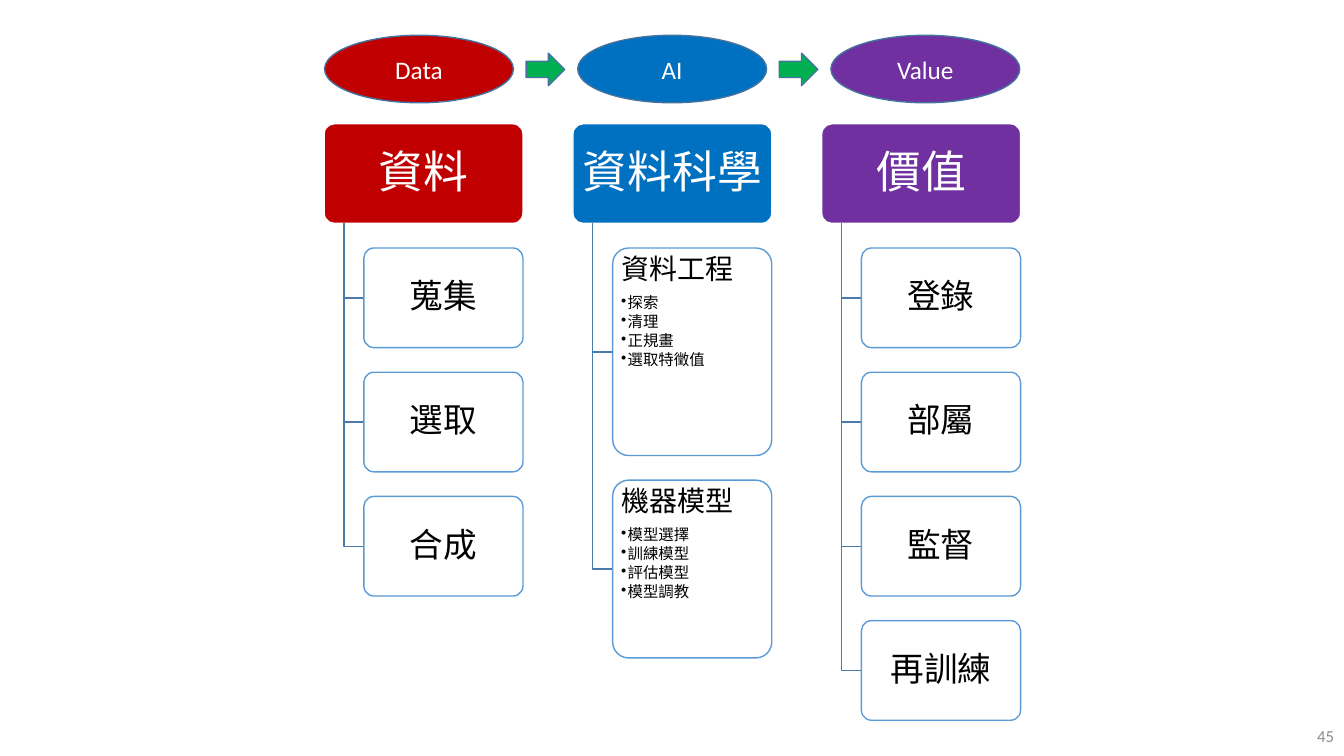
"""Build the slide that links data, data science and value."""
from lxml import etree
from pptx import Presentation
from pptx import util as u
from pptx.dml.color import RGBColor
from pptx.enum import shapes, text
from pptx.oxml import ns

LATIN, CJK = "Calibri", "Noto Sans CJK SC"
COLUMN_LEFT, COLUMN_PITCH = 8.17, 6.27
HEADER_TOP, HEADER_WIDTH, BOX_HEIGHT = 3.12, 5.01, 2.51
GAP, TRUNK_INDENT, BOX_INDENT, BOX_WIDTH = 0.62, 0.5, 1, 4.01
STAGE_LEFT, STAGE_PITCH = 8.18, 6.38


def rgb(value):
    return RGBColor.from_string(value)


class Board:
    """Style and current slide, with a method for each kind of element."""

    ink, grey, paper, green = "000000", "8C8C8C", "FFFFFF", "00B050"
    trunk, box_edge, stage_edge = "497CAB", "5B9BD5", "43739E"
    line_spacing = 0.9

    def __init__(self, slide):
        self.slide = slide

    def shape(self, kind, left, top, width, height, fill, edge):
        shape = self.slide.shapes.add_shape(
            kind, u.Cm(left), u.Cm(top), u.Cm(width), u.Cm(height))
        shape.shadow.inherit = False
        shape.fill.solid()
        shape.fill.fore_color.rgb = rgb(fill)
        shape.line.color.rgb = rgb(edge)
        shape.line.width = u.Pt(1)
        return shape

    def format_runs(self, paragraph, size, color, font):
        for run in paragraph.runs:
            run.font.size = u.Pt(size)
            run.font.color.rgb = rgb(color)
            run.font.name = font
            east_asian = etree.SubElement(run.font._element, ns.qn("a:ea"))
            east_asian.set("typeface", font)

    def label(self, shape, words, size, color, font, align=text.PP_ALIGN.CENTER):
        frame = shape.text_frame
        frame.word_wrap = True
        frame.vertical_anchor = text.MSO_ANCHOR.MIDDLE
        frame.text = words
        for paragraph in frame.paragraphs:
            paragraph.alignment = align
            if font == CJK:
                paragraph.line_spacing = self.line_spacing
            self.format_runs(paragraph, size, color, font)

    def insets(self, shape, side, end):
        frame = shape.text_frame
        frame.margin_left = frame.margin_right = u.Cm(side)
        frame.margin_top = frame.margin_bottom = u.Cm(end)

    def stage(self, left, words, fill):
        oval = self.shape(shapes.MSO_SHAPE.OVAL, left, 0.89, 4.76, 1.7,
                          fill, self.stage_edge)
        self.label(oval, words, 18, self.paper, LATIN)

    def arrow(self, left):
        self.shape(shapes.MSO_SHAPE.RIGHT_ARROW, left, 1.34, 0.97, 0.82,
                   self.green, self.stage_edge)

    def header(self, left, words, fill):
        header = self.shape(shapes.MSO_SHAPE.ROUNDED_RECTANGLE, left, HEADER_TOP,
                            HEADER_WIDTH, BOX_HEIGHT, fill, self.paper)
        header.adjustments[0] = 0.1
        self.insets(header, 0.05, 0.1)
        self.label(header, words, 32, self.paper, CJK)

    def branch(self, left, top, middle, right):
        builder = self.slide.shapes.build_freeform(u.Cm(left), u.Cm(top))
        builder.add_line_segments(
            [(u.Cm(left), u.Cm(middle)), (u.Cm(right), u.Cm(middle))], close=False)
        elbow = builder.convert_to_shape()
        elbow.shadow.inherit = False
        elbow.fill.background()
        elbow.line.color.rgb = rgb(self.trunk)
        elbow.line.width = u.Pt(1)

    def box(self, left, top, height, words, details):
        box = self.shape(shapes.MSO_SHAPE.ROUNDED_RECTANGLE, left, top,
                         BOX_WIDTH, height, self.paper, self.box_edge)
        box.adjustments[0] = 0.1
        if details:
            self.insets(box, 0.1, 0.07)
            self.label(box, words, 20, self.ink, CJK, text.PP_ALIGN.LEFT)
            self.bullets(box.text_frame, details)
        else:
            self.insets(box, 0.13, 0.08)
            self.label(box, words, 24, self.ink, CJK)

    def bullets(self, frame, details):
        frame.vertical_anchor = text.MSO_ANCHOR.TOP
        frame.paragraphs[0].space_after = u.Pt(7)
        for detail in details:
            paragraph = frame.add_paragraph()
            paragraph.text = detail
            paragraph.level = 1
            paragraph.alignment = text.PP_ALIGN.LEFT
            paragraph.line_spacing = self.line_spacing
            paragraph.space_after = u.Pt(1.65)
            properties = paragraph._p.get_or_add_pPr()
            properties.set("marL", str(u.Cm(0.16)))
            properties.set("indent", str(-u.Cm(0.16)))
            etree.SubElement(properties, ns.qn("a:buChar")).set("char", "•")
            self.format_runs(paragraph, 11, self.ink, CJK)

    def column(self, left, title, fill, boxes):
        self.header(left, title, fill)
        header_bottom = HEADER_TOP + BOX_HEIGHT
        top = header_bottom + GAP
        for words, height, details in boxes:
            self.branch(left + TRUNK_INDENT, header_bottom, top + height / 2,
                        left + BOX_INDENT)
            self.box(left + BOX_INDENT, top, height, words, details)
            top += height + GAP

    def page_number(self, number):
        corner = self.slide.shapes.add_textbox(
            u.Cm(26.25), u.Cm(18.03), u.Cm(7.62), u.Cm(1.02))
        self.label(corner, number, 12, self.grey, LATIN, text.PP_ALIGN.RIGHT)


def plain_boxes(*names):
    return [(name, BOX_HEIGHT, []) for name in names]


COLUMNS = [
    ("Data", "資料", "C00000", plain_boxes("蒐集", "選取", "合成")),
    ("AI", "資料科學", "0070C0", [
        ("資料工程", 5.23, ["探索", "清理", "正規畫", "選取特徵值"]),
        ("機器模型", 4.48, ["模型選擇", "訓練模型", "評估模型", "模型調教"]),
    ]),
    ("Value", "價值", "7030A0", plain_boxes("登錄", "部屬", "監督", "再訓練")),
]


def main():
    deck = Presentation()
    deck.slide_width, deck.slide_height = u.Cm(33.87), u.Cm(19.05)
    board = Board(deck.slides.add_slide(deck.slide_layouts[6]))
    board.page_number("45")
    for index, (stage, title, fill, boxes) in enumerate(COLUMNS):
        board.column(COLUMN_LEFT + index * COLUMN_PITCH, title, fill, boxes)
        board.stage(STAGE_LEFT + index * STAGE_PITCH, stage, fill)
    for index in range(len(COLUMNS) - 1):
        board.arrow(13.26 + index * STAGE_PITCH)
    deck.save("out.pptx")


if __name__ == "__main__":
    main()
